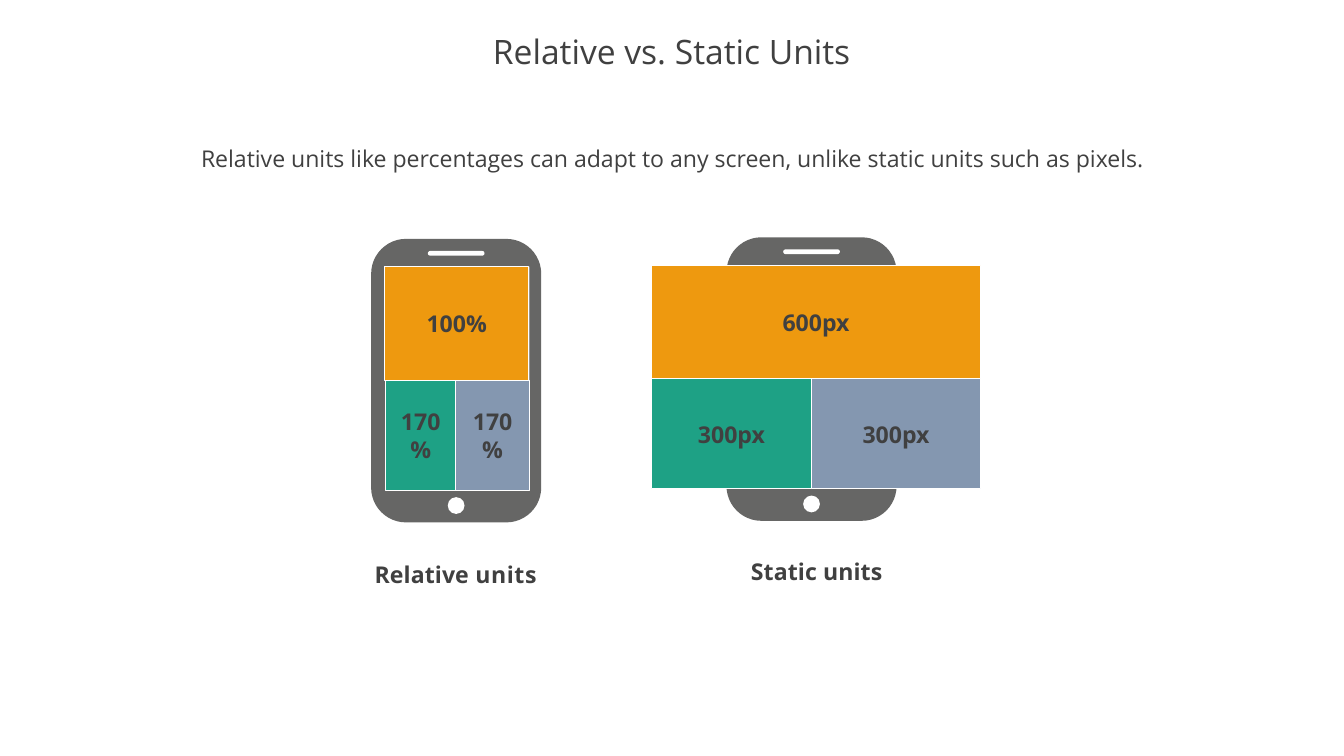
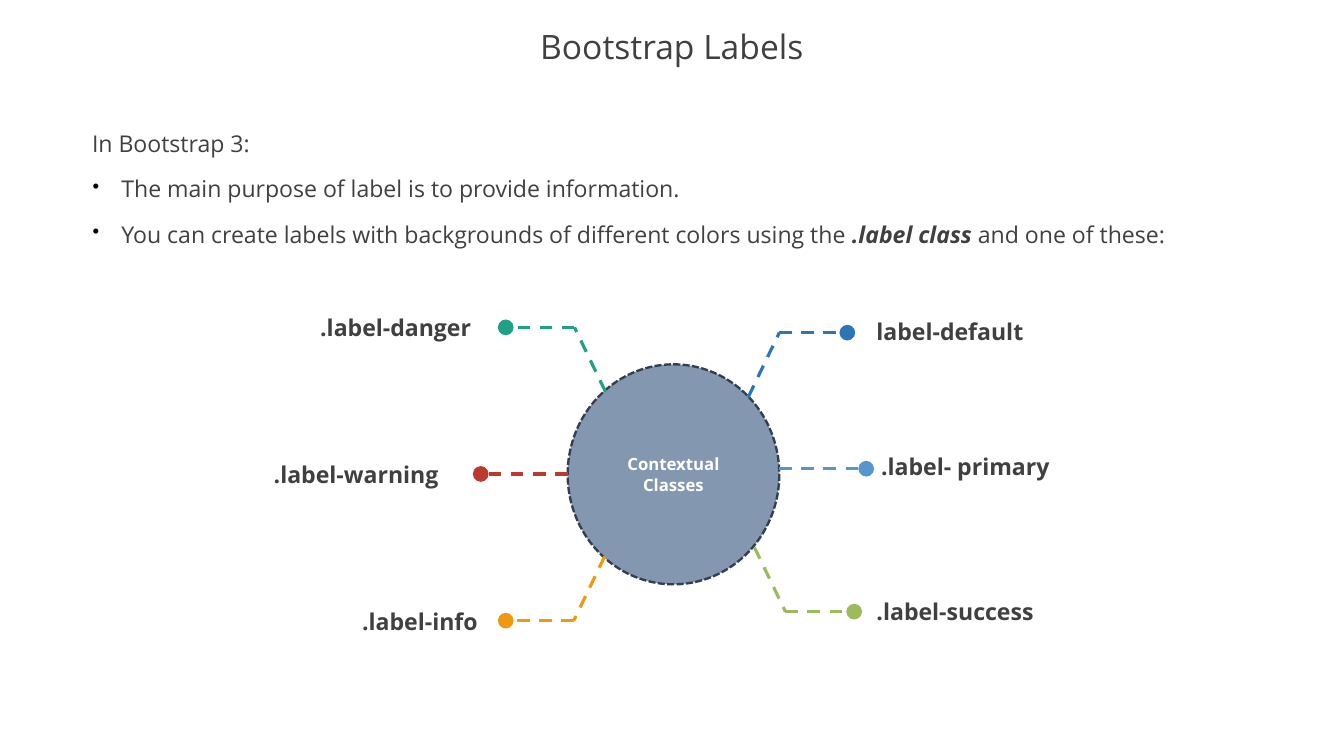
from lxml import etree
from pptx import Presentation
from pptx.dml.color import RGBColor
from pptx.enum.dml import MSO_LINE
from pptx.enum.shapes import MSO_CONNECTOR, MSO_SHAPE
from pptx.enum.text import MSO_ANCHOR, PP_ALIGN
from pptx.oxml.ns import qn
from pptx.util import Pt

RECT, ROUND, OVAL = MSO_SHAPE.RECTANGLE, MSO_SHAPE.ROUNDED_RECTANGLE, MSO_SHAPE.OVAL
LINE = MSO_CONNECTOR.STRAIGHT
DASH, DOTS = MSO_LINE.DASH, MSO_LINE.SQUARE_DOT
LEFT, MID = PP_ALIGN.LEFT, PP_ALIGN.CENTER
CENTER = MSO_ANCHOR.MIDDLE
TOP = MSO_ANCHOR.TOP
FONT = "Open Sans"
WIDE, HIGH = 1280.16, 720

HUES = {
    "text": "404040", "white": "FFFFFF", "black": "000000", "case": "666665",
    "screen": "F2F2F2", "orange": "EE990F", "green": "1EA185", "slate": "8497B0",
    "navy": "333F50", "blue": "2E75B6", "red": "BD392F", "sky": "5796CC",
    "lime": "9BBB5C",
}

UNITS = {
    "title": "Relative vs. Static Units",
    "lead": "Relative units like percentages can adapt to any screen, "
            "unlike static units such as pixels.",
    "phones": [
        {"at": (353.5, 227.5), "name": [("Relative ", {"gap": 10}), ("units", {"gap": 60})],
         "label": (355, 534),
         "tiles": [("100%", 366.5, 254, 137, 108, "orange"),
                   ("170%", 367.2, 362, 67, 105, "green"),
                   ("170%", 434.2, 362, 70, 105, "slate")]},
        {"at": (692, 226), "name": [("Static units", {"gap": 10})],
         "label": (699, 530.5),
         "tiles": [("600px", 620.5, 252.7, 313.5, 108, "orange"),
                   ("300px", 620.5, 360.7, 152.3, 105, "green"),
                   ("300px", 772.8, 360.7, 161.2, 105, "slate")]},
    ],
}

LABELS = {
    "title": "Bootstrap Labels",
    "intro": "In Bootstrap 3:",
    "points": [
        [("The main purpose of label is to provide information.", {})],
        [("You can create labels with backgrounds of different colors using the ", {}),
         (".label class", {"bold": True, "slant": True}),
         (" and one of these:", {})],
    ],
    "hub": "Contextual Classes",
    "spokes": [
        ("label-default", 904.8, 298.8, "blue", [(712.8, 378), (742.3, 316.8), (807.1, 316.8)]),
        (".label- primary", 919.5, 427, "sky", [(742.3, 446.4), (825.1, 446.4)]),
        (".label-success", 909.7, 565.2, "lime", [(718.6, 521.3), (748.1, 582.5), (813.6, 582.5)]),
        (".label-info", 400, 574.6, "orange", [(576, 529.9), (546.5, 591.1), (481.7, 591.1)]),
        (".label-warning", 339.2, 434.9, "red", [(540.7, 451.4), (457.9, 451.4)]),
        (".label-danger", 376.9, 295.2, "green", [(576.7, 373), (547.2, 311.8), (481.7, 311.8)]),
    ],
}


def hue(name):
    return RGBColor.from_string(HUES[name])


def pts(*nums):
    return [Pt(n) for n in nums]


def write(frame, paras, size=22, color="text", bold=False, align=MID,
          anchor=TOP, inset=None):
    frame.word_wrap = True
    frame.vertical_anchor = anchor
    if inset is not None:
        frame.margin_left = frame.margin_right = Pt(inset)
        frame.margin_top = frame.margin_bottom = Pt(inset)
    if isinstance(paras, str):
        paras = [[(paras, {})]]
    for i, runs in enumerate(paras):
        para = frame.paragraphs[0] if i == 0 else frame.add_paragraph()
        para.alignment = align
        for words, style in runs:
            run = para.add_run()
            run.text = words
            font = run.font
            font.name, font.size = FONT, Pt(size)
            font.color.rgb = hue(color)
            font.bold = style.get("bold", bold)
            font.italic = style.get("slant", False)
            if "gap" in style:
                run._r.get_or_add_rPr().set("spc", str(style["gap"]))
    return frame


def box(slide, x, y, w, h, words, **style):
    area = slide.shapes.add_textbox(*pts(x, y, w, h))
    return write(area.text_frame, words, **style)


def shape(slide, kind, x, y, w, h, fill, edge=None, width=1):
    item = slide.shapes.add_shape(kind, *pts(x, y, w, h))
    item.shadow.inherit = False
    item.fill.solid()
    item.fill.fore_color.rgb = hue(fill)
    if edge:
        item.line.color.rgb = hue(edge)
        item.line.width = Pt(width)
    else:
        item.line.fill.background()
    return item


def start(deck, title, top):
    slide = deck.slides.add_slide(deck.slide_layouts[5])
    head = slide.shapes.title
    head.left, head.top, head.width, head.height = pts(0, top, WIDE, 52.6)
    write(head.text_frame, title, size=32, anchor=CENTER)
    head.text_frame.paragraphs[0].line_spacing = 0.9
    return slide


def phone(slide, at, name, label, tiles):
    x, y = at
    case = shape(slide, ROUND, x, y, 162, 270, "case")
    case.adjustments[0] = 0.205
    slot = shape(slide, ROUND, x + 54, y + 11.5, 54, 4.5, "white")
    slot.adjustments[0] = 0.5
    shape(slide, OVAL, x + 73, y + 246, 16, 16, "white")
    shape(slide, RECT, x + 13.7, y + 26.5, 137, 213, "screen")
    for words, left, top, w, h, fill in tiles:
        tile = shape(slide, RECT, left, top, w, h, fill, edge="white")
        write(tile.text_frame, words, bold=True, anchor=CENTER)
    box(slide, *label, 158, 27, [name], bold=True, inset=0)


def bullet(para):
    props = para._p.get_or_add_pPr()
    props.set("marL", str(Pt(28)))
    props.set("indent", str(Pt(-27.4)))
    tint = etree.SubElement(props, qn("a:buClr"))
    etree.SubElement(tint, qn("a:srgbClr"), val=HUES["black"])
    etree.SubElement(props, qn("a:buSzPct"), val="85000")
    etree.SubElement(props, qn("a:buChar"), char="•")
    para.space_before = Pt(16.7)


def spoke(slide, stops, color):
    for a, b in zip(stops, stops[1:]):
        link = slide.shapes.add_connector(LINE, *pts(*a, *b))
        link.line.color.rgb = hue(color)
        link.line.width = Pt(3)
        link.line.dash_style = DASH
        props = link._element.spPr
        if b == stops[-1]:
            etree.SubElement(props.find(qn("a:ln")), qn("a:tailEnd"),
                             type="oval", w="lg", len="lg")
        etree.SubElement(props, qn("a:effectLst"))


def units(deck):
    slide = start(deck, UNITS["title"], 25.2)
    box(slide, 172.8, 133.9, 935.3, 33.8, UNITS["lead"])
    for item in UNITS["phones"]:
        phone(slide, **item)


def labels(deck):
    slide = start(deck, LABELS["title"], 20.2)
    paras = [[(LABELS["intro"], {})]] + LABELS["points"]
    body = box(slide, 80.6, 109.4, 1118.9, 141, paras, align=LEFT)
    intro, *points = body.paragraphs
    intro.line_spacing = 1.4
    for para in points:
        bullet(para)
    hub = shape(slide, OVAL, 540.7, 347, 201.6, 209.5, "slate", edge="navy", width=2.25)
    hub.line.dash_style = DOTS
    write(hub.text_frame, LABELS["hub"], size=16, color="white", bold=True, anchor=CENTER)
    for words, mid, top, color, stops in LABELS["spokes"]:
        spoke(slide, stops, color)
        box(slide, mid - 112, top, 224, 33.8, words, bold=True)


def main():
    deck = Presentation()
    deck.slide_width, deck.slide_height = pts(WIDE, HIGH)
    units(deck)
    labels(deck)
    deck.save("out.pptx")


if __name__ == "__main__":
    main()
